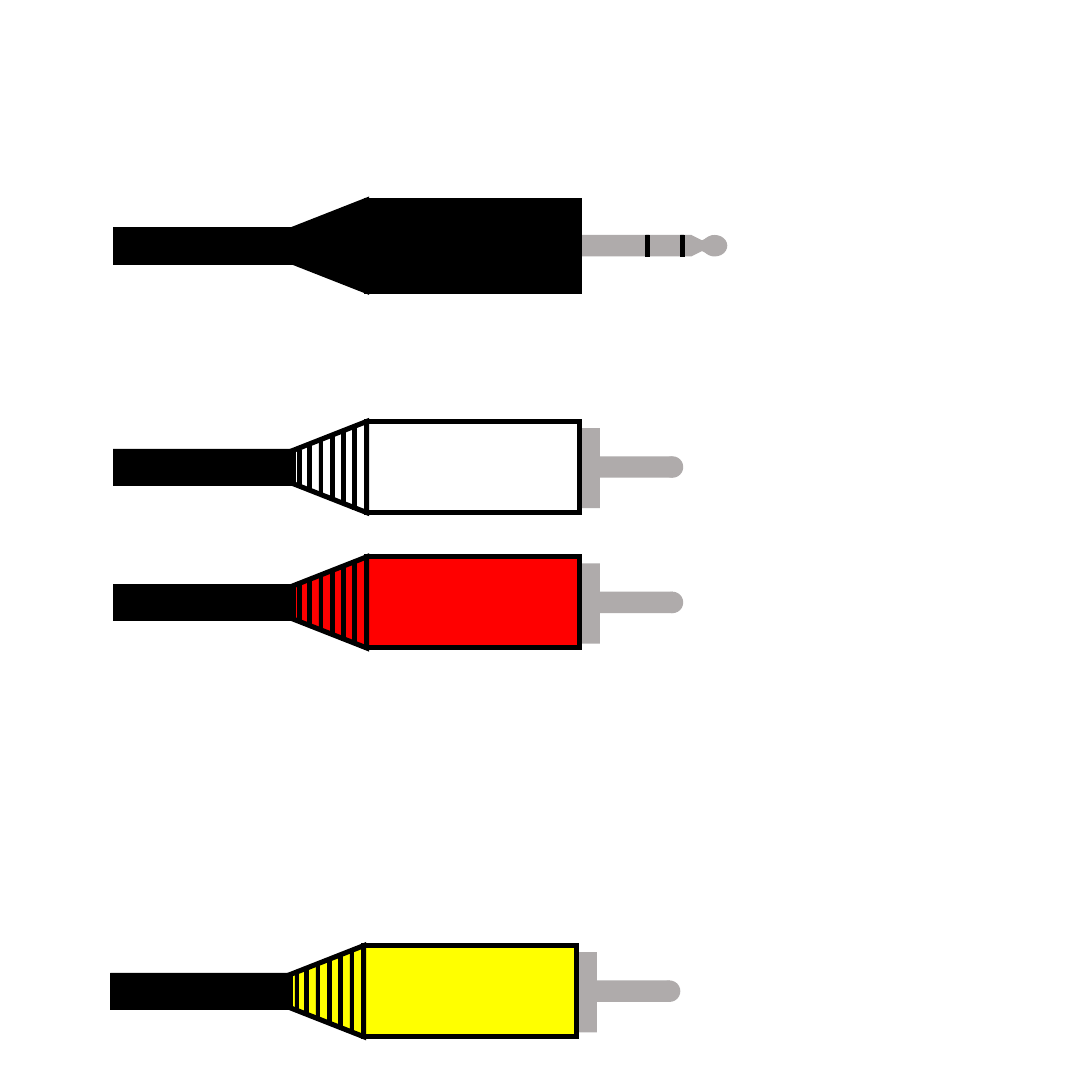
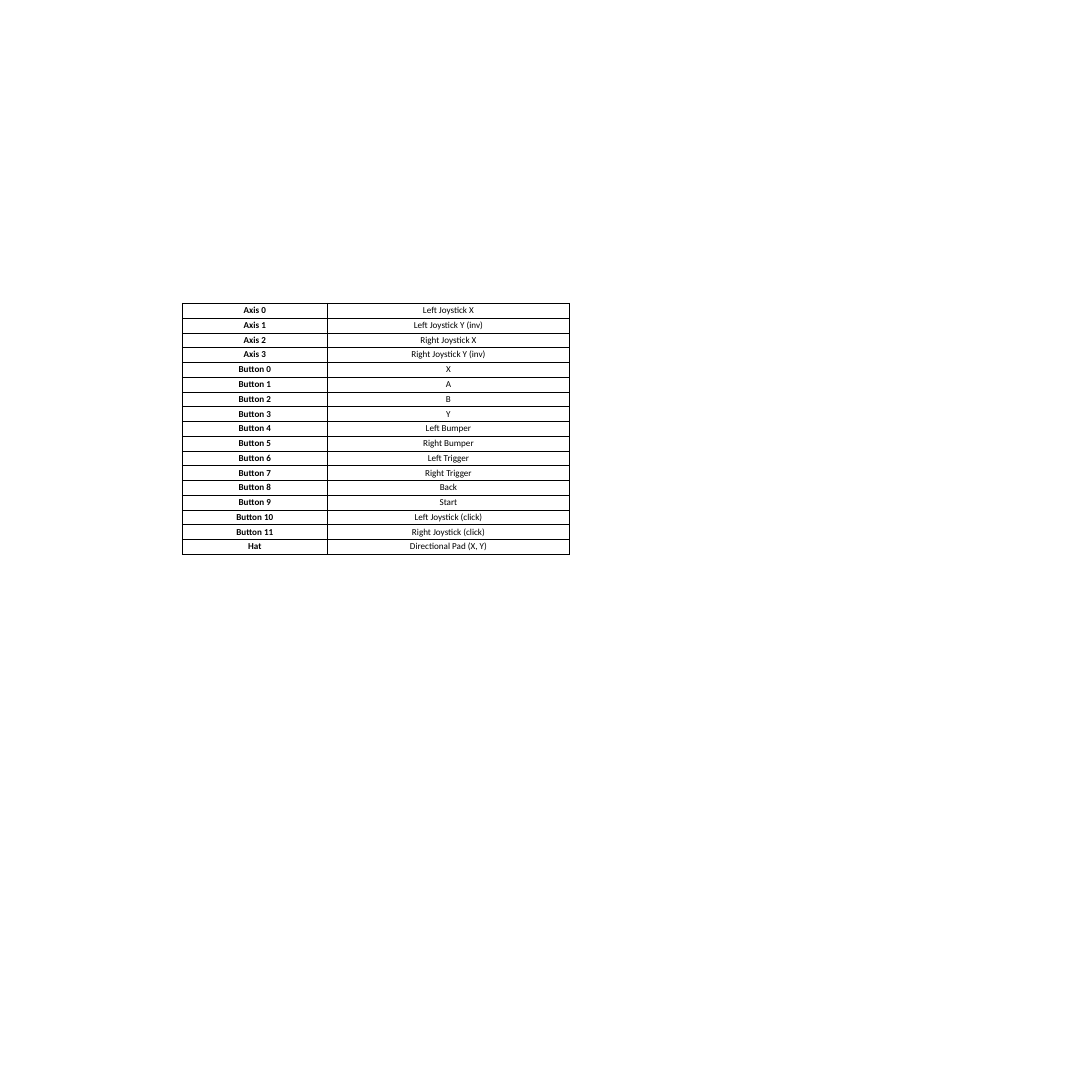
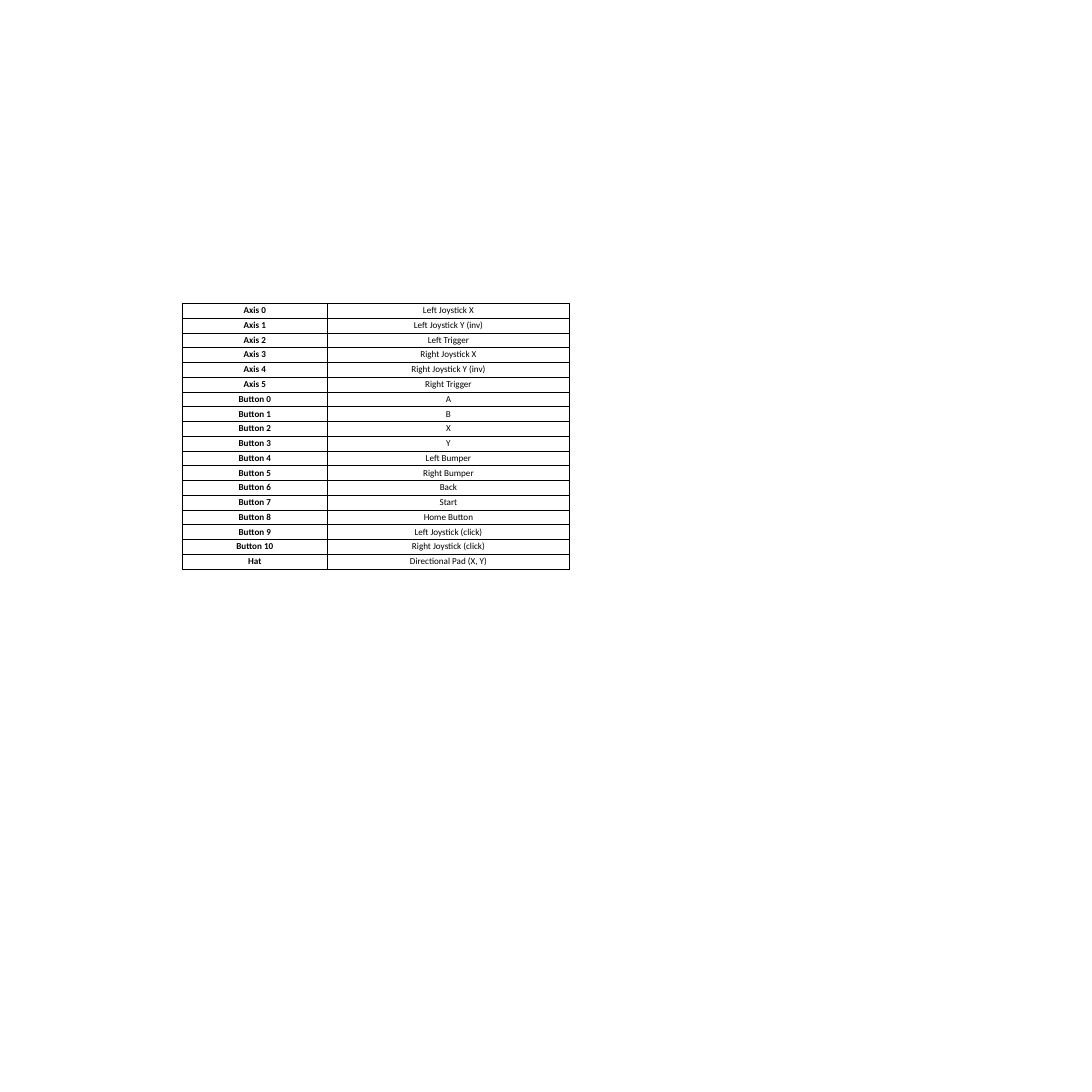
from dataclasses import dataclass

from lxml.etree import SubElement
from pptx import Presentation
from pptx.dml.color import RGBColor
from pptx.enum.shapes import MSO_SHAPE
from pptx.enum.text import PP_ALIGN
from pptx.oxml.ns import qn
from pptx.shapes.group import GroupShape
from pptx.slide import Slide
from pptx.table import _Cell
from pptx.util import Inches, Pt

COLORS = {
    "black": "000000",
    "white": "FFFFFF",
    "red": "FF0000",
    "yellow": "FFFF00",
    "metal": "AFABAB",
}
BLANK_LAYOUT = 6
OUTLINE, HAIRLINE = 10, 1

RING_WIDTH = 0.1
RING_COUNT = 5
RING_STEP = 0.31
PIN_HEIGHT = 0.59

TABLE_LEFT, TABLE_TOP = 5, 8.33
COLUMN_WIDTHS = (4, 6.64)
ROW_HEIGHT = 0.4
CELL_FONT = {"name": "Calibri", "size": Pt(18)}


@dataclass(frozen=True)
class Piece:
    """One piece of a cable: x from the cable's left end, y from its axis."""

    x: float
    width: float
    height: float
    color: str
    line: float = 0
    y: float = 0
    kind: MSO_SHAPE = MSO_SHAPE.RECTANGLE
    rotation: float = 0


@dataclass(frozen=True)
class Cable:
    left: float
    axis: float
    pieces: list[Piece]


def grip(color: str) -> list[Piece]:
    """Plug body, tapered sleeve and cord, common to every cable."""
    return [
        Piece(6.96, 5.84, 2.5, color, OUTLINE),
        Piece(4.12, 2.5, 3.18, color, OUTLINE,
              kind=MSO_SHAPE.ISOSCELES_TRIANGLE, rotation=270),
        Piece(0, 5, 1, "black", HAIRLINE),
    ]


def ring(x: float, height: float, y: float = 0) -> Piece:
    return Piece(x, RING_WIDTH, height, "black", HAIRLINE, y)


def phono_plug(color: str) -> list[Piece]:
    sleeve_rings = [
        ring(5.34 + RING_STEP * index, 1.25 + 0.25 * index, 0.03)
        for index in range(RING_COUNT)
    ]
    return [
        *grip(color),
        ring(5.07, 1, 0.03),
        *sleeve_rings,
        Piece(12.88, 0.49, 2.2, "metal", y=0.03),
        Piece(13.37, 2, PIN_HEIGHT, "metal"),
        Piece(15.07, PIN_HEIGHT, PIN_HEIGHT, "metal", kind=MSO_SHAPE.OVAL),
    ]


def jack_plug() -> list[Piece]:
    waist = [
        Piece(15.88, PIN_HEIGHT, PIN_HEIGHT, "metal",
              kind=MSO_SHAPE.ISOSCELES_TRIANGLE, rotation=rotation)
        for rotation in (90, 270)
    ]
    return [
        *grip("black"),
        Piece(12.88, 3, PIN_HEIGHT, "metal"),
        *waist,
        Piece(16.18, 0.69, PIN_HEIGHT, "metal", kind=MSO_SHAPE.OVAL),
        ring(14.63, PIN_HEIGHT),
        ring(15.58, PIN_HEIGHT),
    ]


CABLE_GROUPS = [
    [Cable(3.03, 27.23, phono_plug("yellow"))],
    [
        Cable(3.11, 12.83, phono_plug("white")),
        Cable(3.11, 16.55, phono_plug("red")),
        Cable(3.11, 6.75, jack_plug()),
    ],
]


def numbered(prefix: str, inputs: list[str]) -> list[tuple[str, str]]:
    return [(f"{prefix} {index}", name) for index, name in enumerate(inputs)]


HAT = ("Hat", "Directional Pad (X, Y)")
STICK_CLICKS = ["Left Joystick (click)", "Right Joystick (click)"]
LEFT_STICK = ["Left Joystick X", "Left Joystick Y (inv)"]
RIGHT_STICK = ["Right Joystick X", "Right Joystick Y (inv)"]
BUMPERS = ["Left Bumper", "Right Bumper"]
TRIGGERS = ["Left Trigger", "Right Trigger"]
MENU = ["Back", "Start"]

CONTROLLER_MAPS = [
    [
        *numbered("Axis", LEFT_STICK + RIGHT_STICK),
        *numbered("Button", ["X", "A", "B", "Y", *BUMPERS, *TRIGGERS,
                             *MENU, *STICK_CLICKS]),
        HAT,
    ],
    [
        *numbered("Axis", [*LEFT_STICK, TRIGGERS[0],
                           *RIGHT_STICK, TRIGGERS[1]]),
        *numbered("Button", ["A", "B", "X", "Y", *BUMPERS, *MENU,
                             "Home Button", *STICK_CLICKS]),
        HAT,
    ],
]


def rgb(color: str) -> RGBColor:
    return RGBColor.from_string(COLORS[color])


def draw_piece(group: GroupShape, cable: Cable, piece: Piece) -> None:
    shape = group.shapes.add_shape(
        piece.kind,
        Inches(cable.left + piece.x),
        Inches(cable.axis + piece.y - piece.height / 2),
        Inches(piece.width),
        Inches(piece.height),
    )
    shape.rotation = piece.rotation
    shape.shadow.inherit = False
    shape.fill.solid()
    shape.fill.fore_color.rgb = rgb(piece.color)
    if not piece.line:
        shape.line.fill.background()
        return
    shape.line.color.rgb = rgb("black")
    shape.line.width = Pt(piece.line)
    outline = shape._element.spPr.find(qn("a:ln"))
    SubElement(outline, qn("a:miter"), lim="800000")


def draw_cables(page: Slide) -> None:
    for cables in CABLE_GROUPS:
        group = page.shapes.add_group_shape()
        for cable in cables:
            for piece in cable.pieces:
                draw_piece(group, cable, piece)


def add_borders(cell: _Cell) -> None:
    properties = cell._tc.get_or_add_tcPr()
    for position, side in enumerate(("lnL", "lnR", "lnT", "lnB")):
        border = SubElement(properties, qn(f"a:{side}"), w=str(Pt(HAIRLINE)))
        fill = SubElement(border, qn("a:solidFill"))
        SubElement(fill, qn("a:srgbClr"), val=COLORS["black"])
        properties.insert(position, border)


def fill_cell(cell: _Cell, text: str, bold: bool) -> None:
    cell.fill.background()
    add_borders(cell)
    para = cell.text_frame.paragraphs[0]
    para.alignment = PP_ALIGN.CENTER
    span = para.add_run()
    span.text = text
    for name, value in {**CELL_FONT, "bold": bold}.items():
        setattr(span.font, name, value)
    span.font.color.rgb = rgb("black")


def draw_controller_map(page: Slide, rows: list[tuple[str, str]]) -> None:
    table = page.shapes.add_table(
        len(rows), len(COLUMN_WIDTHS),
        Inches(TABLE_LEFT), Inches(TABLE_TOP),
        Inches(sum(COLUMN_WIDTHS)), Inches(ROW_HEIGHT * len(rows)),
    ).table
    table.first_row = table.horz_banding = False
    for column, width in zip(table.columns, COLUMN_WIDTHS):
        column.width = Inches(width)
    for table_row, texts in zip(table.rows, rows):
        table_row.height = Inches(ROW_HEIGHT)
        for index, (cell, text) in enumerate(zip(table_row.cells, texts)):
            fill_cell(cell, text, bold=index == 0)


def main() -> None:
    deck = Presentation()
    deck.slide_width = deck.slide_height = Inches(30)
    layout = deck.slide_layouts[BLANK_LAYOUT]
    draw_cables(deck.slides.add_slide(layout))
    for rows in CONTROLLER_MAPS:
        draw_controller_map(deck.slides.add_slide(layout), rows)
    deck.save("out.pptx")


if __name__ == "__main__":
    main()
